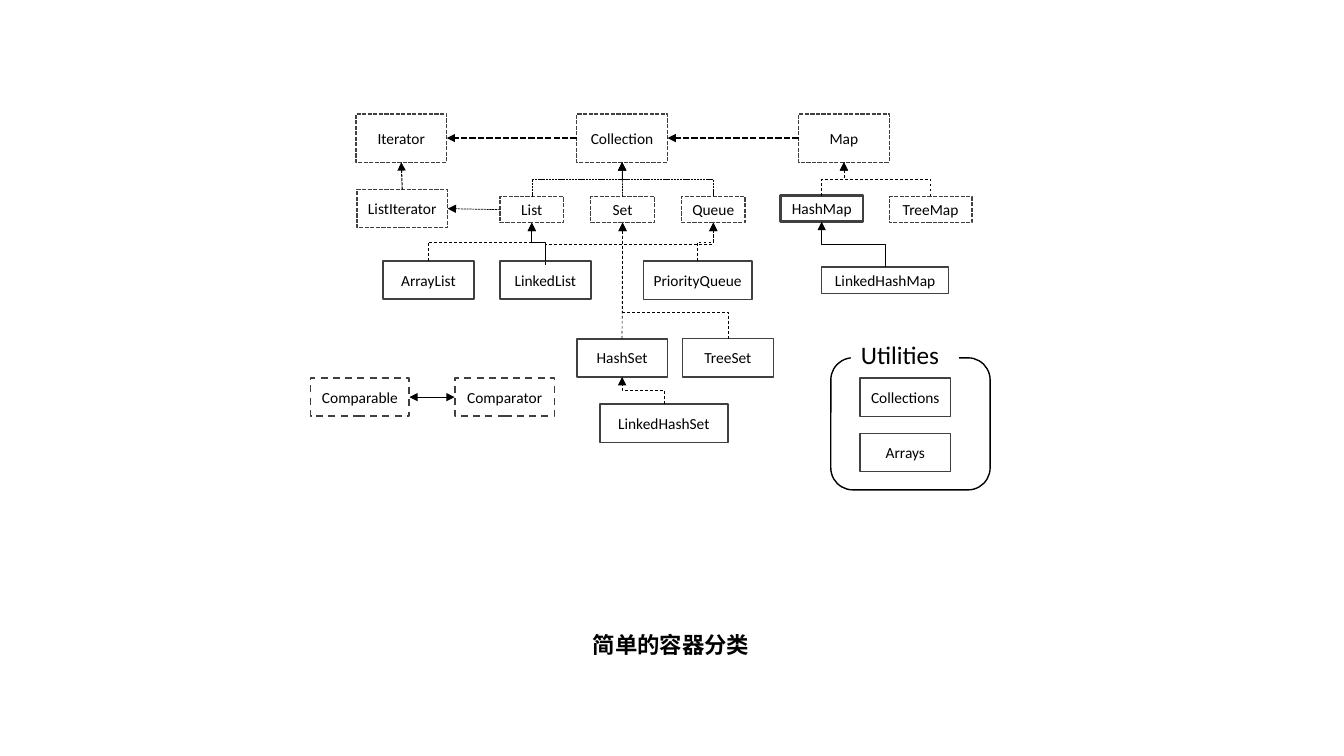
import pptx
import pptx.util
import pptx.dml.color
import pptx.enum.dml
import pptx.enum.shapes
import pptx.enum.text
import pptx.oxml
import pptx.oxml.ns

Inches = pptx.util.Inches
Pt = pptx.util.Pt
SHAPE = pptx.enum.shapes.MSO_SHAPE
CONNECTOR = pptx.enum.shapes.MSO_CONNECTOR
ANCHOR = pptx.enum.text.MSO_ANCHOR
ALIGN = pptx.enum.text.PP_ALIGN
DOT = pptx.enum.dml.MSO_LINE.SQUARE_DOT
DASH = pptx.enum.dml.MSO_LINE.DASH
SOLID = None
BLACK = pptx.dml.color.RGBColor(0x00, 0x00, 0x00)
GRAY = pptx.dml.color.RGBColor(0x40, 0x40, 0x40)
WHITE = pptx.dml.color.RGBColor(0xFF, 0xFF, 0xFF)
TOP, LEFT, BOTTOM, RIGHT = range(4)


def add_box(kind, left, top, width, height, color, weight, dash):
    shape = slide.shapes.add_shape(kind, Inches(left), Inches(top), Inches(width), Inches(height))
    shape.shadow.inherit = False
    shape.fill.solid()
    shape.fill.fore_color.rgb = WHITE
    shape.line.color.rgb = color
    shape.line.width = Pt(weight)
    if dash:
        shape.line.dash_style = dash
    return shape


def style_connector(connector, weight, dash, arrowheads):
    connector.line.color.rgb = BLACK
    connector.line.width = Pt(weight)
    if dash:
        connector.line.dash_style = dash
    properties = connector._element.spPr
    outline = properties.find(pptx.oxml.ns.qn("a:ln"))
    for end in arrowheads:
        arrowhead = pptx.oxml.parse_xml(f'<a:{end} {pptx.oxml.ns.nsdecls("a")} type="triangle"/>')
        outline.append(arrowhead)
    properties.append(pptx.oxml.parse_xml(f'<a:effectLst {pptx.oxml.ns.nsdecls("a")}/>'))


presentation = pptx.Presentation()
presentation.slide_width = Inches(13.33)
presentation.slide_height = Inches(7.5)
slide = presentation.slides.add_slide(presentation.slide_layouts[5])

title = slide.shapes.title
title.left, title.top, title.width, title.height = Inches(5.78), Inches(6.21), Inches(2.22), Inches(0.37)
title.text_frame.text = "简单的容器分类"
title.text_frame.auto_size = pptx.enum.text.MSO_AUTO_SIZE.NONE
title.text_frame.vertical_anchor = ANCHOR.TOP
paragraph = title.text_frame.paragraphs[0]
paragraph.alignment = ALIGN.LEFT
paragraph.font.name = "Courier New"
paragraph.font.size = Pt(16)
paragraph.font.bold = True
paragraph.font.color.rgb = BLACK

add_box(SHAPE.ROUNDED_RECTANGLE, 8.24, 3.55, 1.58, 1.31, BLACK, 1, SOLID)
utilities = slide.shapes.add_textbox(Inches(8.44), Inches(3.32), Inches(1.07), Inches(0.4))
utilities.fill.solid()
utilities.fill.fore_color.rgb = WHITE
utilities.text_frame.word_wrap = True
utilities.text_frame.text = "Utilities"
paragraph = utilities.text_frame.paragraphs[0]
paragraph.font.name = "Calibri"
paragraph.font.size = Pt(18)
paragraph.font.color.rgb = BLACK

types = [
    ("Iterator", 3.53, 1.13, 0.9, 0.48, 1, DOT),
    ("Collection", 5.72, 1.13, 0.9, 0.48, 1, DOT),
    ("Map", 7.92, 1.13, 0.9, 0.48, 1, DOT),
    ("ListIterator", 3.54, 1.88, 0.9, 0.38, 1, DOT),
    ("List", 4.96, 1.95, 0.63, 0.26, 1, DOT),
    ("Set", 5.86, 1.95, 0.63, 0.26, 1, DOT),
    ("Queue", 6.76, 1.95, 0.63, 0.26, 1, DOT),
    ("HashMap", 7.74, 1.94, 0.82, 0.26, 1.75, SOLID),
    ("TreeMap", 8.82, 1.95, 0.82, 0.26, 1, DOT),
    ("LinkedHashMap", 8.15, 2.65, 1.26, 0.26, 1, SOLID),
    ("ArrayList", 3.8, 2.59, 0.9, 0.38, 1.25, SOLID),
    ("LinkedList", 4.96, 2.59, 0.9, 0.38, 1.25, SOLID),
    ("PriorityQueue", 6.38, 2.59, 1.08, 0.38, 1, SOLID),
    ("HashSet", 5.72, 3.36, 0.9, 0.38, 1.25, SOLID),
    ("TreeSet", 6.77, 3.36, 0.9, 0.38, 1, SOLID),
    ("LinkedHashSet", 5.95, 4.01, 1.27, 0.38, 1, SOLID),
    ("Comparable", 3.08, 3.75, 0.98, 0.38, 1.25, DASH),
    ("Comparator", 4.51, 3.75, 0.99, 0.38, 1.25, DASH),
    ("Collections", 8.53, 3.75, 0.9, 0.38, 1, SOLID),
    ("Arrays", 8.53, 4.3, 0.9, 0.38, 1, SOLID),
]
boxes = {}
for name, left, top, width, height, weight, dash in types:
    box = add_box(SHAPE.RECTANGLE, left, top, width, height, GRAY, weight, dash)
    frame = box.text_frame
    frame.margin_left = frame.margin_right = 0
    frame.vertical_anchor = ANCHOR.MIDDLE
    frame.text = name
    paragraph = frame.paragraphs[0]
    paragraph.alignment = ALIGN.CENTER
    paragraph.font.name = "Calibri"
    paragraph.font.size = Pt(11)
    paragraph.font.color.rgb = BLACK
    boxes[name] = box

straight_arrows = [
    ("Collection", LEFT, "Iterator", RIGHT, 1.5, DOT, ["tailEnd"]),
    ("Map", LEFT, "Collection", RIGHT, 1.5, DOT, ["tailEnd"]),
    ("ListIterator", TOP, "Iterator", BOTTOM, 0.75, DOT, ["tailEnd"]),
    ("List", LEFT, "ListIterator", RIGHT, 0.5, DOT, ["tailEnd"]),
    ("Set", TOP, "Collection", BOTTOM, 0.5, DOT, ["tailEnd"]),
    ("HashSet", TOP, "Set", BOTTOM, 0.5, DASH, ["tailEnd"]),
    ("Comparable", RIGHT, "Comparator", LEFT, 0.5, SOLID, ["headEnd", "tailEnd"]),
]
for source, source_side, target, target_side, weight, dash, arrowheads in straight_arrows:
    connector = slide.shapes.add_connector(CONNECTOR.STRAIGHT, 0, 0, 0, 0)
    connector.begin_connect(boxes[source], source_side)
    connector.end_connect(boxes[target], target_side)
    style_connector(connector, weight, dash, arrowheads)

bent_arrows = [
    ("List", "Collection", DOT, 0, 0.5),
    ("Queue", "Collection", DOT, 0, 0.5),
    ("HashMap", "Map", DASH, 0, 0.5),
    ("TreeMap", "Map", DASH, 0, 0.5),
    ("LinkedHashMap", "HashMap", SOLID, 0, 0.5),
    ("ArrayList", "List", DASH, 0, 0.5),
    ("LinkedList", "List", SOLID, 0, 0.5),
    ("LinkedList", "Queue", DASH, 0.04, 0.5),
    ("PriorityQueue", "Queue", DASH, 0, 0.5),
    ("TreeSet", "Set", DASH, 0, 0.23),
    ("LinkedHashSet", "HashSet", DASH, 0, 0.5),
]
for child, parent, dash, inset, bend in bent_arrows:
    start_x = boxes[child].left + boxes[child].width // 2
    start_y = boxes[child].top + Inches(inset)
    end_x = boxes[parent].left + boxes[parent].width // 2
    end_y = boxes[parent].top + boxes[parent].height
    center_x, center_y = (start_x + end_x) // 2, (start_y + end_y) // 2
    half_rise, half_run = (start_y - end_y) // 2, (end_x - start_x) // 2
    connector = slide.shapes.add_connector(
        CONNECTOR.ELBOW,
        center_x - half_rise, center_y - half_run,
        center_x + half_rise, center_y + half_run,
    )
    properties = connector._element.spPr
    properties.find(pptx.oxml.ns.qn("a:xfrm")).set("rot", "16200000")
    guide = pptx.oxml.parse_xml(
        f'<a:gd {pptx.oxml.ns.nsdecls("a")} name="adj1" fmla="val {round(bend * 100000)}"/>'
    )
    properties.find(pptx.oxml.ns.qn("a:prstGeom")).get_or_add_avLst().append(guide)
    style_connector(connector, 0.5, dash, ["tailEnd"])

presentation.save("out.pptx")
